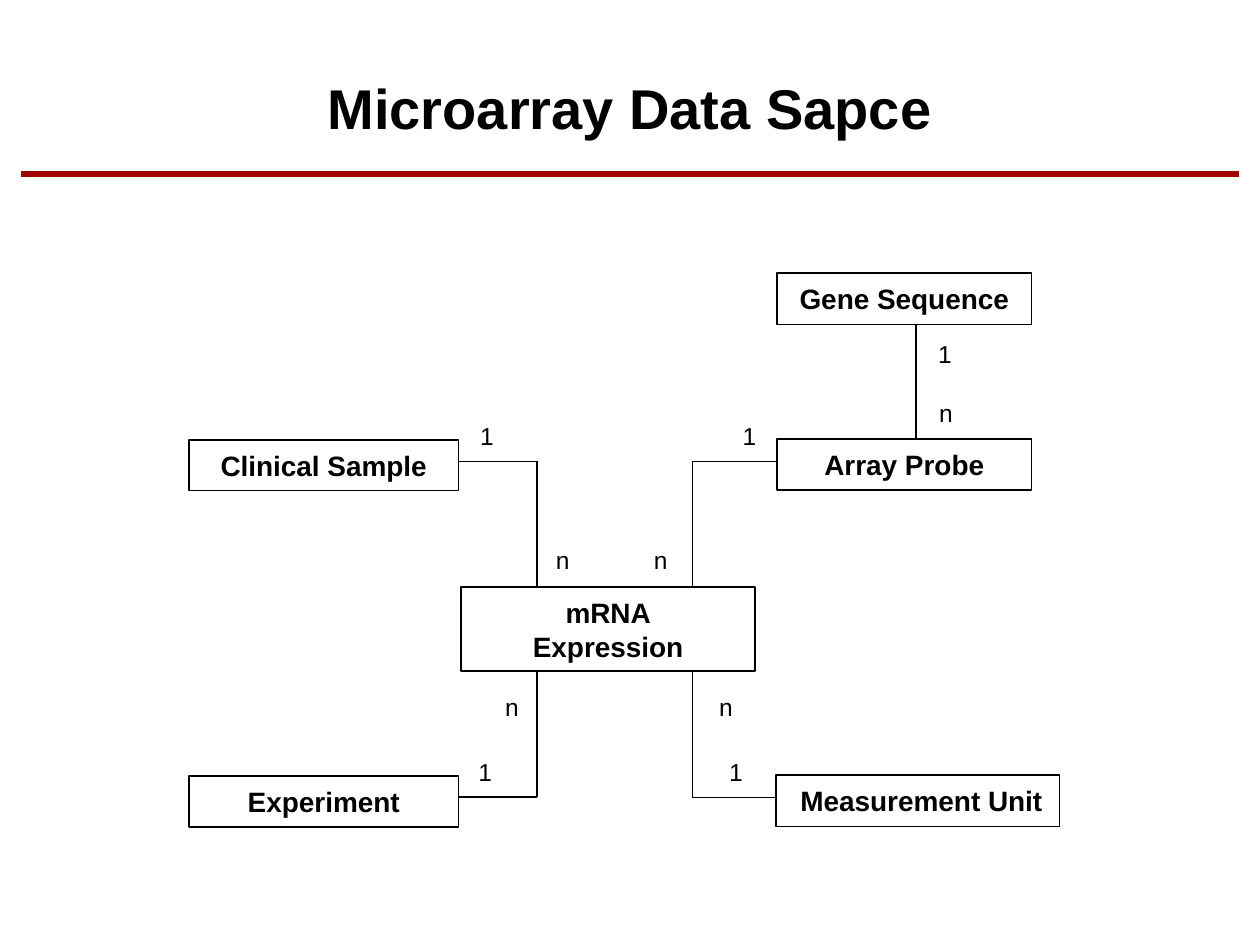
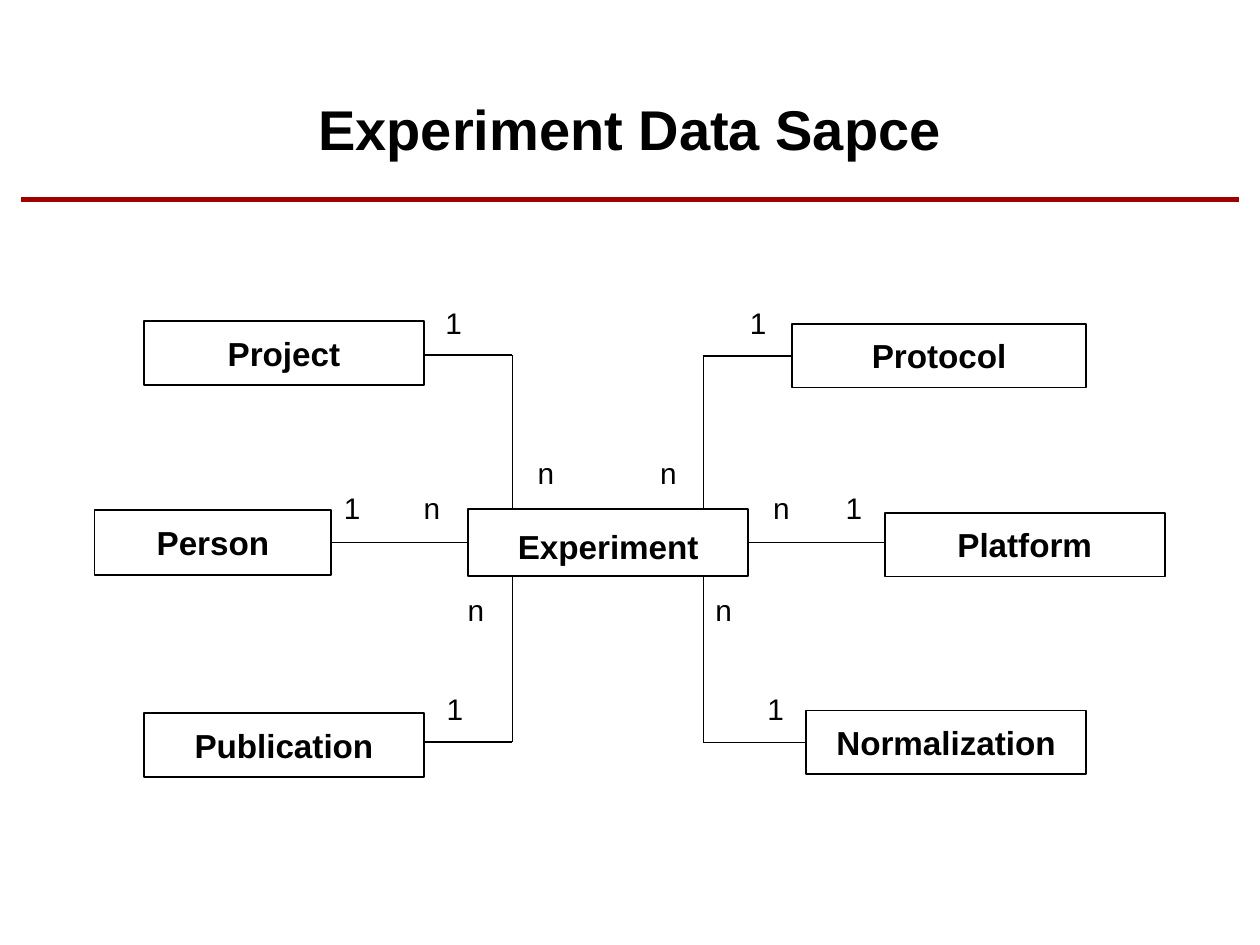
"""Build two slides of entity relation diagrams."""
from pptx import Presentation
from pptx import util as u
from pptx.dml.color import RGBColor
from pptx.enum import shapes, text
from pptx.oxml.ns import qn
from lxml import etree

BLACK = RGBColor(0x00, 0x00, 0x00)
WHITE = RGBColor(0xFF, 0xFF, 0xFF)
RED = RGBColor(0x9E, 0x00, 0x00)
FONT = "Arial"
LEFT_SIDE, RIGHT_SIDE = 1, 3

# entities: left, top, width, height; elbows: entity, corner x, corner y
# labels: cardinality, row middle, column middles
DIAGRAMS = [
    {
        "title": "Microarray Data Sapce", "title_top": 38, "rule_y": 99.5,
        "entity_size": 16, "label_size": 14,
        "hub": "mRNA\nExpression",
        "entities": {
            "mRNA\nExpression": (263.5, 335.5, 168, 48),
            "Clinical Sample": (108, 251.3, 154, 29),
            "Experiment": (108, 443.5, 154, 29),
            "Gene Sequence": (444, 156, 145.5, 29.5),
            "Array Probe": (444, 250.7, 145.5, 29.5),
            "Measurement Unit": (443.5, 442.8, 162, 29.5),
        },
        "nudges": {"Measurement Unit": (4, 0)},
        "elbows": [
            ("Clinical Sample", 306.8, 263.7), ("Array Probe", 395.8, 263.7),
            ("Experiment", 306.8, 455.3), ("Measurement Unit", 395.8, 455.8),
        ],
        "straights": [],
        "columns": [("Gene Sequence", "Array Probe", 523.3)],
        "labels": [
            ("1", 249, (278.3, 428.3)), ("n", 320, (321.5, 377.6)),
            ("n", 404, (292.5, 414.8)), ("1", 441, (277.2, 420.5)),
            ("1", 202, (540,)), ("n", 236, (540.5,)),
        ],
    },
    {
        "title": "Experiment Data Sapce", "title_top": 50, "rule_y": 114,
        "entity_size": 19, "label_size": 17,
        "hub": "Experiment",
        "entities": {
            "Experiment": (267.6, 291, 160, 38),
            "Project": (82.3, 183.5, 160, 36.5),
            "Person": (54, 291.5, 135.3, 37),
            "Publication": (82.3, 407.5, 160, 36.5),
            "Protocol": (452.5, 185, 168.3, 36.5),
            "Platform": (505.6, 293, 160, 36.5),
            "Normalization": (460.6, 406, 160, 36.5),
        },
        "nudges": {"Experiment": (0, 4)},
        "elbows": [
            ("Project", 292.8, 203), ("Protocol", 402, 203),
            ("Publication", 292.8, 424.2), ("Normalization", 402, 424.2),
        ],
        "straights": ["Person", "Platform"],
        "columns": [],
        "labels": [
            ("1", 184.5, (259.2, 433.2)), ("n", 270, (312, 382)),
            ("1", 290, (201.2, 488)), ("n", 290, (246.8, 446.5)),
            ("n", 348.5, (272, 413.6)), ("1", 405, (260, 443.2)),
        ],
    },
]


def write(shape, words, size, bold=False, insets=(0, 0)):
    frame = shape.text_frame
    frame.word_wrap = True
    frame.vertical_anchor = text.MSO_ANCHOR.MIDDLE
    frame.margin_left, frame.margin_top = [u.Pt(inset) for inset in insets]
    frame.margin_right = frame.margin_bottom = 0
    frame.text = words
    for para in frame.paragraphs:
        para.alignment = text.PP_ALIGN.CENTER
        font = para.font
        font.name, font.size, font.bold = FONT, u.Pt(size), bold
        font.color.rgb = BLACK


def add_text(page, words, bounds, size, bold=False):
    write(page.shapes.add_textbox(*map(u.Pt, bounds)), words, size, bold)


def add_line(page, start, end, color=BLACK, width=1):
    line = page.shapes.add_connector(
        shapes.MSO_CONNECTOR.STRAIGHT, *map(u.Pt, (*start, *end)))
    line.line.color.rgb = color
    line.line.width = u.Pt(width)
    etree.SubElement(line._element.spPr, qn("a:effectLst"))
    return line


def add_entity(page, name, bounds, size, nudge):
    box = page.shapes.add_shape(
        shapes.MSO_SHAPE.RECTANGLE, *map(u.Pt, bounds))
    box.shadow.inherit = False
    box.fill.solid()
    box.fill.fore_color.rgb = WHITE
    box.line.color.rgb = BLACK
    box.line.width = u.Pt(1)
    write(box, name, size, True, nudge)
    return box


def facing_side(bounds, x):
    """Return the x and the side index of the edge that faces x."""
    left, _, width, _ = bounds
    return (left + width, RIGHT_SIDE) if x > left + width / 2 else (left, LEFT_SIDE)


def middle_y(bounds):
    return bounds[1] + bounds[3] / 2


def draw_links(page, diagram, boxes):
    places = diagram["entities"]
    hub_name = diagram["hub"]
    hub = places[hub_name]
    for name, x, y in diagram["elbows"]:
        edge, side = facing_side(places[name], x)
        middle = middle_y(places[name])
        joined = abs(y - middle) < 1
        y = middle if joined else y
        arm = add_line(page, (edge, y), (x, y))
        if joined:
            arm.begin_connect(boxes[name], side)
        add_line(page, (x, y), (x, hub[1] if y < hub[1] else hub[1] + hub[3]))
    for name in diagram["straights"]:
        y = middle_y(hub)
        edge, side = facing_side(places[name], hub[0])
        hub_edge, hub_side = facing_side(hub, edge)
        link = add_line(page, (edge, y), (hub_edge, y))
        link.end_connect(boxes[hub_name], hub_side)
        if middle_y(places[name]) == y:
            link.begin_connect(boxes[name], side)
    for upper, lower, x in diagram["columns"]:
        add_line(page, (x, places[upper][1] + places[upper][3]),
                 (x, places[lower][1]))


def draw_diagram(page, diagram):
    add_text(page, diagram["title"], (18, diagram["title_top"], 684, 46), 32, True)
    rule_y = diagram["rule_y"]
    add_line(page, (12, rule_y), (708, rule_y), RED, 3)
    boxes = {
        name: add_entity(page, name, bounds, diagram["entity_size"],
                         diagram["nudges"].get(name, (0, 0)))
        for name, bounds in diagram["entities"].items()
    }
    draw_links(page, diagram, boxes)
    for words, y, columns in diagram["labels"]:
        for x in columns:
            add_text(page, words, (x - 10, y - 10, 20, 20), diagram["label_size"])


def main():
    deck = Presentation()
    deck.slide_width, deck.slide_height = u.Pt(720), u.Pt(540)
    for diagram in DIAGRAMS:
        draw_diagram(deck.slides.add_slide(deck.slide_layouts[6]), diagram)
    deck.save("out.pptx")


if __name__ == "__main__":
    main()
